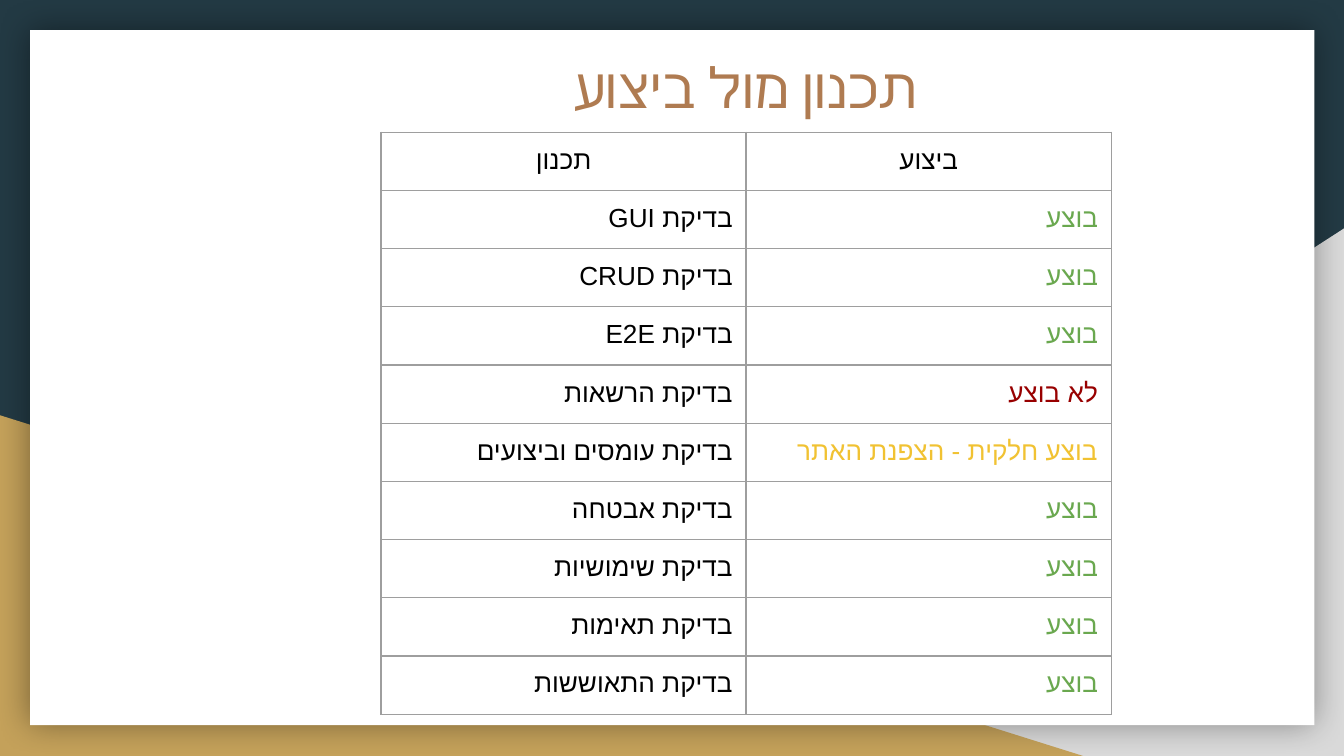
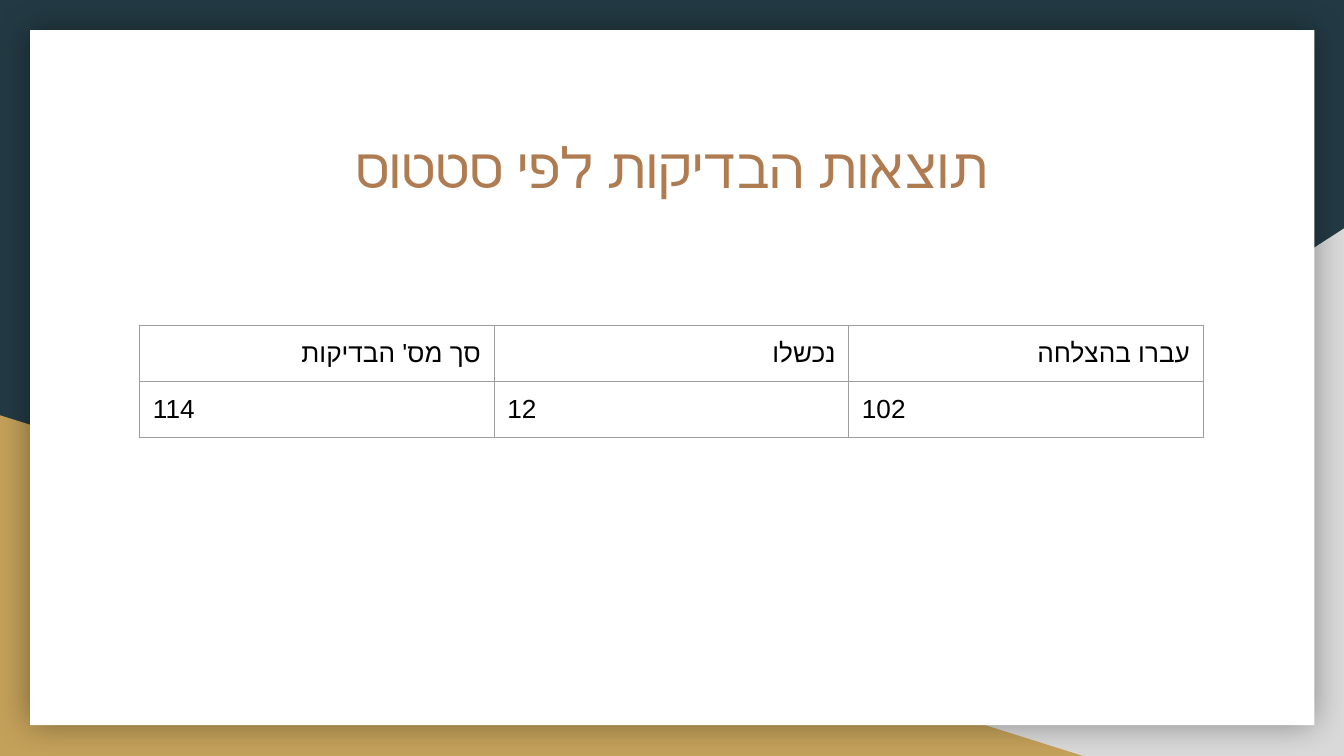
from dataclasses import dataclass
from lxml.etree import SubElement
from pptx import Presentation
from pptx.dml.color import RGBColor as RGB
from pptx.enum.shapes import MSO_SHAPE as SHAPE
from pptx.enum.text import MSO_ANCHOR as ANCHOR, MSO_AUTO_SIZE as AUTOSIZE, PP_ALIGN as ALIGN
from pptx.oxml.ns import qn
from pptx.util import Cm, Pt


@dataclass(frozen=True)
class Theme:
    navy: str = "233A44"
    grey: str = "D9D9D9"
    gold: str = "C4A15A"
    white: str = "FFFFFF"
    title: str = "AF7B51"
    text: str = "000000"
    border: str = "9E9E9E"
    done: str = "6AA84F"
    partial: str = "F1C232"
    missed: str = "980000"
    title_font: str = "League Spartan"
    body_font: str = "Arial"
    title_size: int = 30
    body_size: int = 14
    border_width: float = 0.75


T = Theme()


def write(p, text, font, size, color, align, rtl=True):
    """Add one run; Hebrew paragraphs run right to left."""
    p.alignment = align
    if rtl:
        p._p.get_or_add_pPr().set("rtl", "1")
    r = p.add_run()
    r.text = text
    r.font.name, r.font.size = font, Pt(size)
    r.font.color.rgb = RGB.from_string(color)
    SubElement(r.font._element, qn("a:cs"), typeface=font)


def add_grid(s, left, top, col_width, row_height, rows):
    """Add a bordered table; each cell is (text, colour, alignment, rtl)."""
    n_rows, n_cols = len(rows), len(rows[0])
    table = s.shapes.add_table(n_rows, n_cols, Cm(left), Cm(top),
                               Cm(col_width * n_cols), Cm(row_height * n_rows)).table
    table.first_row = table.horz_banding = False
    for i, row in enumerate(rows):
        table.rows[i].height = Cm(row_height)
        for j, (text, color, align, rtl) in enumerate(row):
            table.columns[j].width = Cm(col_width)
            cell = table.cell(i, j)
            cell.margin_left = cell.margin_right = Cm(0.25)
            cell.margin_top = cell.margin_bottom = Cm(0.25)
            tcPr = cell._tc.get_or_add_tcPr()
            for side in ("lnL", "lnR", "lnT", "lnB"):
                ln = SubElement(tcPr, qn(f"a:{side}"), w=str(Pt(T.border_width)))
                fill = SubElement(ln, qn("a:solidFill"))
                SubElement(fill, qn("a:srgbClr"), val=T.border)
            cell.fill.background()
            write(cell.text_frame.paragraphs[0], text, T.body_font, T.body_size, color, align, rtl)


prs = Presentation()
prs.slide_width, prs.slide_height = Cm(25.4), Cm(14.29)

# Title-only layout: background colour, no footer placeholders
layout = prs.slide_layouts[5]
layout.background.fill.solid()
layout.background.fill.fore_color.rgb = RGB.from_string(T.navy)
for ph in list(layout.placeholders):
    if ph.placeholder_format.idx != 0:
        ph.element.getparent().remove(ph.element)

# Slides and their titles
titles = [
    ("תכנון מול ביצוע", 3.66, 0.74),
    ("תוצאות הבדיקות לפי סטטוס", 2.28, 2.26),
]
slides = []
for text, left, top in titles:
    s = prs.slides.add_slide(layout)
    sp = s.shapes.title
    sp.left, sp.top, sp.width, sp.height = Cm(left), Cm(top), Cm(20.85), Cm(2.64)
    tf = sp.text_frame
    tf.auto_size, tf.vertical_anchor = AUTOSIZE.NONE, ANCHOR.TOP
    tf.margin_left = tf.margin_right = tf.margin_top = tf.margin_bottom = Cm(0.25)
    write(tf.paragraphs[0], text, T.title_font, T.title_size, T.title, ALIGN.CENTER)
    slides.append(s)
plan_slide, status_slide = slides

# Shared backdrop, drawn once and moved into the layout
backdrop = [
    (SHAPE.RIGHT_TRIANGLE, 9.96, 4.32, 15.44, 9.97, T.grey),
    (SHAPE.RIGHT_TRIANGLE, 0, 7.85, 20.47, 6.44, T.gold),
    (SHAPE.RECTANGLE, 0.57, 0.57, 24.27, 13.14, T.white),
]
for z, (kind, left, top, width, height, color) in enumerate(backdrop):
    sp = plan_slide.shapes.add_shape(kind, Cm(left), Cm(top), Cm(width), Cm(height))
    sp.fill.solid()
    sp.fill.fore_color.rgb = RGB.from_string(color)
    sp.line.fill.background()
    sp.shadow.inherit = False
    spPr = sp.element.spPr
    if color == T.grey:
        spPr.find(qn("a:xfrm")).set("flipH", "1")
    if color == T.white:
        shadow = SubElement(spPr.find(qn("a:effectLst")), qn("a:outerShdw"),
                            blurRad=str(Pt(18)), dist="0", dir="0", algn="ctr", rotWithShape="0")
        black = SubElement(shadow, qn("a:srgbClr"), val="000000")
        SubElement(black, qn("a:alpha"), val="40000")
    layout.shapes._spTree.insert(2 + z, sp.element)

# Plan against execution
done = ("בוצע", T.done)
checks = [
    ("בדיקת GUI", done),
    ("בדיקת CRUD", done),
    ("בדיקת E2E", done),
    ("בדיקת הרשאות", ("לא בוצע", T.missed)),
    ("בדיקת עומסים וביצועים", ("בוצע חלקית - הצפנת האתר", T.partial)),
    ("בדיקת אבטחה", done),
    ("בדיקת שימושיות", done),
    ("בדיקת תאימות", done),
    ("בדיקת התאוששות", done),
]
rows = [[(head, T.text, ALIGN.CENTER, True) for head in ("תכנון", "ביצוע")]]
for check, (result, color) in checks:
    rows.append([(check, T.text, ALIGN.RIGHT, True), (result, color, ALIGN.RIGHT, True)])
add_grid(plan_slide, 7.2, 2.5, 6.9, 1.1, rows)

# Results by status
totals = [("סך מס' הבדיקות", "114"), ("נכשלו", "12"), ("עברו בהצלחה", "102")]
rows = [
    [(head, T.text, ALIGN.RIGHT, True) for head, _ in totals],
    [(count, T.text, ALIGN.LEFT, False) for _, count in totals],
]
add_grid(status_slide, 2.64, 6.15, 6.7, 1.06, rows)

prs.save("out.pptx")
